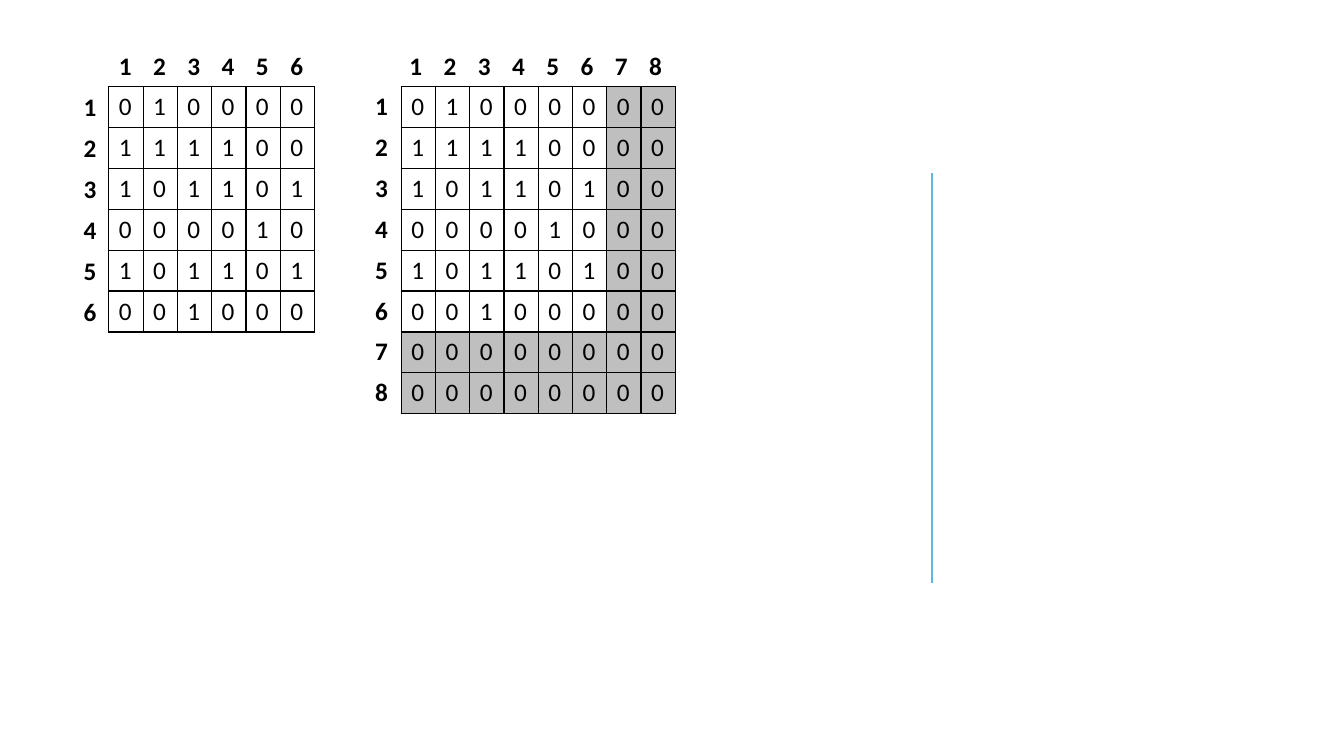
"""Build a slide with an adjacency matrix and its zero-padded version."""
import lxml.etree
import pptx
import pptx.dml.color
import pptx.enum.shapes
import pptx.oxml.ns
import pptx.util

MATRIX = ["010000", "111100", "101101", "000010", "101101", "001000"]
PADDED_SIZE = 8
PADDED = [row.ljust(PADDED_SIZE, "0") for row in MATRIX]
PADDED += ["0" * PADDED_SIZE] * (PADDED_SIZE - len(MATRIX))
NUMBERS = "12345678"

SLIDE_SIZE = (1333, 750)
CELL = (34, 40)
DIVIDER = ((924, 172), (924, 578))
PADDED_AT = (398, 86)
PADDED_COLUMNS_AT = (396, 46)
PADDED_ROWS_AT = (362, 86)
MATRIX_AT = (108, 86)
MATRIX_COLUMNS_AT = (108, 46)
MATRIX_ROWS_AT = (73, 87)

THEME = {
    "font": "Calibri",
    "size": 18,
    "ink": "000000",
    "padding": "BFBFBF",
    "divider": "5EB9E0",
    "border_width": 1,
    "divider_width": 1.5,
    "plain_table": "{2D5ABB26-0587-4C30-8999-92F81FD0307C}",
}


def px(length):
    return pptx.util.Emu(length * 9144)


def rgb(name):
    return pptx.dml.color.RGBColor.from_string(THEME[name])


def write(cell, text, bold=False, color="ink"):
    run = cell.text_frame.paragraphs[0].add_run()
    run.text = text
    run.font.name = THEME["font"]
    run.font.size = pptx.util.Pt(THEME["size"])
    run.font.bold = bold
    run.font.color.rgb = rgb(color)


def outline(cell):
    qn = pptx.oxml.ns.qn
    properties = cell._tc.get_or_add_tcPr()
    for index, side in enumerate(("lnL", "lnR", "lnT", "lnB")):
        edge = lxml.etree.Element(qn(f"a:{side}"))
        edge.set("w", str(pptx.util.Pt(THEME["border_width"])))
        fill = lxml.etree.SubElement(edge, qn("a:solidFill"))
        lxml.etree.SubElement(fill, qn("a:srgbClr")).set("val", THEME["ink"])
        properties.insert(index, edge)


def add_grid(slide, at, rows, label=False):
    width, height = CELL
    columns = len(rows[0])
    grid = slide.shapes.add_table(
        len(rows), columns, px(at[0]), px(at[1]),
        px(width * columns), px(height * len(rows))).table
    grid.first_row = grid.horz_banding = False
    grid._tbl.tblPr.find(pptx.oxml.ns.qn("a:tableStyleId")).text = THEME["plain_table"]
    for column in grid.columns:
        column.width = px(width)
    for r, row in enumerate(rows):
        grid.rows[r].height = px(height)
        for c, digit in enumerate(row):
            cell = grid.cell(r, c)
            write(cell, digit, bold=label)
            if not label and max(r, c) >= len(MATRIX):
                cell.fill.solid()
                cell.fill.fore_color.rgb = rgb("padding")
            else:
                cell.fill.background()
            if not label:
                outline(cell)


def add_divider(slide):
    (x1, y1), (x2, y2) = DIVIDER
    divider = slide.shapes.add_connector(
        pptx.enum.shapes.MSO_CONNECTOR.STRAIGHT, px(x1), px(y1), px(x2), px(y2))
    divider.line.color.rgb = rgb("divider")
    divider.line.width = pptx.util.Pt(THEME["divider_width"])
    lxml.etree.SubElement(divider._element.spPr, pptx.oxml.ns.qn("a:effectLst"))


def main():
    deck = pptx.Presentation()
    deck.slide_width, deck.slide_height = map(px, SLIDE_SIZE)
    slide = deck.slides.add_slide(deck.slide_layouts[6])
    add_divider(slide)
    add_grid(slide, PADDED_AT, PADDED)
    matrix_numbers = NUMBERS[:len(MATRIX)]
    for numbers, columns_at, rows_at in (
            (matrix_numbers, MATRIX_COLUMNS_AT, MATRIX_ROWS_AT),
            (NUMBERS, PADDED_COLUMNS_AT, PADDED_ROWS_AT)):
        add_grid(slide, columns_at, [numbers], label=True)
        add_grid(slide, rows_at, list(numbers), label=True)
    add_grid(slide, MATRIX_AT, MATRIX)
    deck.save("out.pptx")


if __name__ == "__main__":
    main()
